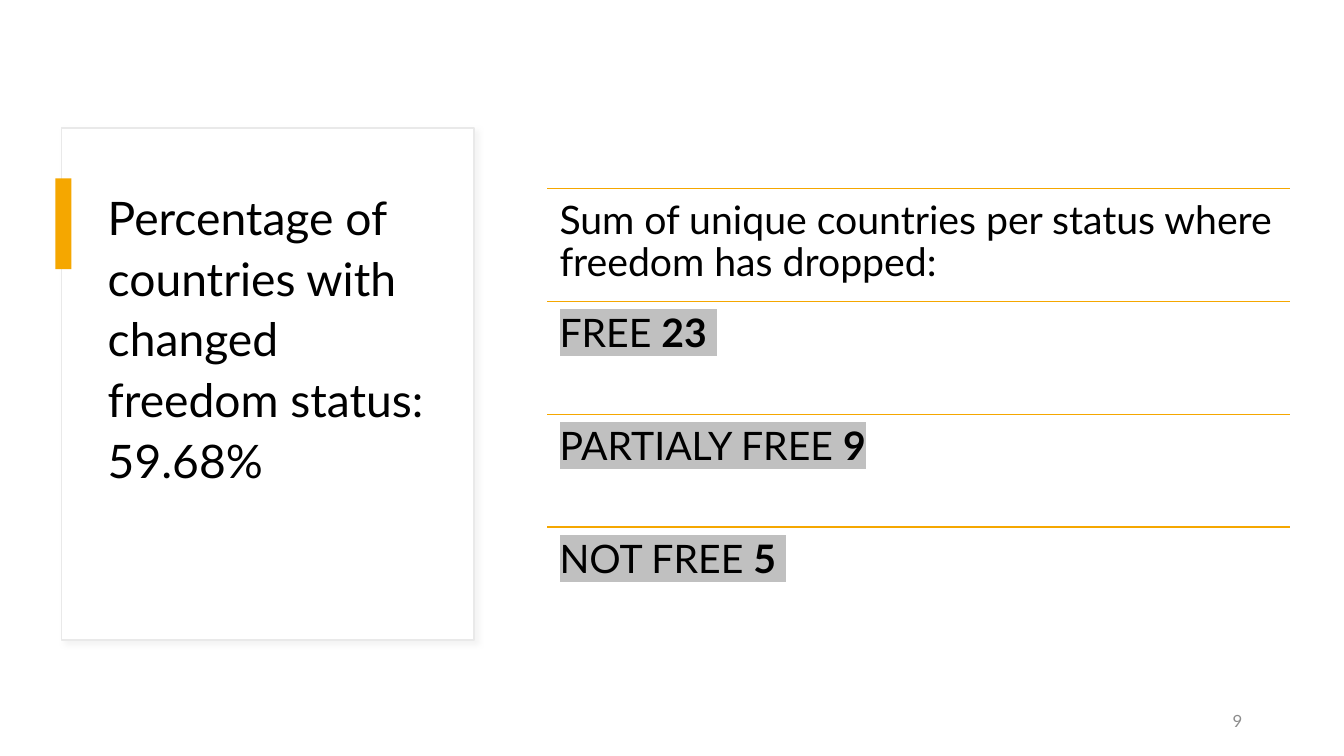
from dataclasses import dataclass

from lxml.etree import SubElement
from pptx import Presentation
from pptx.dml.color import RGBColor
from pptx.enum.shapes import MSO_CONNECTOR as Connector, MSO_SHAPE as Shape
from pptx.enum.text import MSO_ANCHOR as Anchor, PP_ALIGN as Align
from pptx.oxml import parse_xml
from pptx.oxml.ns import nsdecls, qn
from pptx.slide import Slide
from pptx.util import Inches, Pt


@dataclass(frozen=True)
class Theme:
    font: str = "Lato"
    ink: str = "000000"
    paper: str = "FFFFFF"
    accent: str = "F5A700"
    border: str = "E9E9E9"
    shadow: str = "D9D9D9"
    highlight: str = "C0C0C0"
    muted: str = "8C8C8C"
    headline_size: float = 33
    row_size: float = 28
    number_size: float = 12


@dataclass(frozen=True)
class Area:
    left: float
    top: float
    width: float
    height: float

    def lengths(self) -> tuple[Inches, Inches, Inches, Inches]:
        return (Inches(self.left), Inches(self.top),
                Inches(self.width), Inches(self.height))


@dataclass(frozen=True)
class Span:
    text: str
    bold: bool = False
    highlight: str | None = None


@dataclass(frozen=True)
class StatusRow:
    spans: tuple[Span, ...]


THEME = Theme()
CARD = Area(0.61, 1.27, 4.09, 5.08)
ACCENT_BAR = Area(0.55, 1.77, 0.16, 0.9)
HEADLINE = Area(0.97, 1.77, 3.39, 4)
PAGE_NUMBER = Area(9.42, 6.95, 3, 0.4)
FIRST_ROW = Area(5.43, 1.87, 7.36, 1.12)


def status_row(label: str, count: str, ending: str = "") -> StatusRow:
    spans = [Span(label, highlight=THEME.highlight),
             Span(count, bold=True, highlight=THEME.highlight)]
    if ending:
        spans.append(Span(ending, highlight=THEME.highlight))
    return StatusRow(tuple(spans))


ROWS = (
    StatusRow((Span("Sum of unique countries per status where freedom has dropped:"),)),
    status_row("FREE ", "23", " "),
    status_row("PARTIALY FREE ", "9"),
    status_row("NOT FREE ", "5", " "),
)


def add_text(page: Slide, area: Area, spans: tuple[Span, ...], *, size: float,
             color: str = THEME.ink, align: Align = Align.LEFT,
             anchor: Anchor = Anchor.TOP, line_spacing: float = 1.0,
             before: float = 0, after: float = 0,
             inset: float | None = None) -> None:
    frame = page.shapes.add_textbox(*area.lengths()).text_frame
    frame.word_wrap = True
    frame.vertical_anchor = anchor
    if inset is not None:
        frame.margin_left = frame.margin_right = Inches(inset)
        frame.margin_top = frame.margin_bottom = Inches(inset)
    para = frame.paragraphs[0]
    para.alignment = align
    para.line_spacing = line_spacing
    para.space_before = Pt(before)
    para.space_after = Pt(after)
    for span in spans:
        run = para.add_run()
        run.text = span.text
        run.font.name = THEME.font
        run.font.size = Pt(size)
        run.font.bold = span.bold
        run.font.color.rgb = RGBColor.from_string(color)
        if span.highlight:
            run.font._element.find(qn("a:solidFill")).addnext(parse_xml(
                f'<a:highlight {nsdecls("a")}>'
                f'<a:srgbClr val="{span.highlight}"/></a:highlight>'))


def add_box(page: Slide, area: Area, fill: str, *, border: str | None = None,
            shadow: str | None = None) -> None:
    box = page.shapes.add_shape(Shape.RECTANGLE, *area.lengths())
    box.shadow.inherit = False
    box.fill.solid()
    box.fill.fore_color.rgb = RGBColor.from_string(fill)
    if border:
        box.line.color.rgb = RGBColor.from_string(border)
        box.line.width = Pt(1)
    else:
        box.line.fill.background()
    if shadow:
        effects = box._element.spPr.find(qn("a:effectLst"))
        effects.append(parse_xml(
            f'<a:outerShdw {nsdecls("a")} blurRad="{Pt(4)}" dist="{Pt(3)}" '
            f'dir="{45 * 60000}" algn="tl" rotWithShape="0">'
            f'<a:srgbClr val="{shadow}"><a:alpha val="30000"/></a:srgbClr>'
            '</a:outerShdw>'))


def add_rule(page: Slide, area: Area) -> None:
    left, top, width, _ = area.lengths()
    rule = page.shapes.add_connector(Connector.STRAIGHT, left, top, left + width, top)
    rule.line.color.rgb = RGBColor.from_string(THEME.accent)
    rule.line.width = Pt(1)
    SubElement(rule._element.spPr, qn("a:effectLst"))


def add_status_row(page: Slide, row: StatusRow, index: int) -> None:
    area = Area(FIRST_ROW.left, FIRST_ROW.top + index * FIRST_ROW.height,
                FIRST_ROW.width, FIRST_ROW.height)
    add_rule(page, area)
    add_text(page, area, row.spans, size=THEME.row_size, line_spacing=0.9,
             after=0.35 * THEME.row_size, inset=0.12)


def main() -> None:
    deck = Presentation()
    deck.slide_width = Inches(13.33)
    deck.slide_height = Inches(7.5)
    page = deck.slides.add_slide(deck.slide_layouts[6])
    add_box(page, CARD, THEME.paper, border=THEME.border, shadow=THEME.shadow)
    add_box(page, ACCENT_BAR, THEME.accent)
    for index, row in enumerate(ROWS):
        add_status_row(page, row, index)
    add_text(page, HEADLINE,
             (Span("Percentage of countries with changed freedom status: 59.68%"),),
             size=THEME.headline_size, line_spacing=1.1, before=10)
    add_text(page, PAGE_NUMBER, (Span("9"),), size=THEME.number_size,
             color=THEME.muted, align=Align.RIGHT, anchor=Anchor.MIDDLE, after=6)
    deck.save("out.pptx")


if __name__ == "__main__":
    main()
